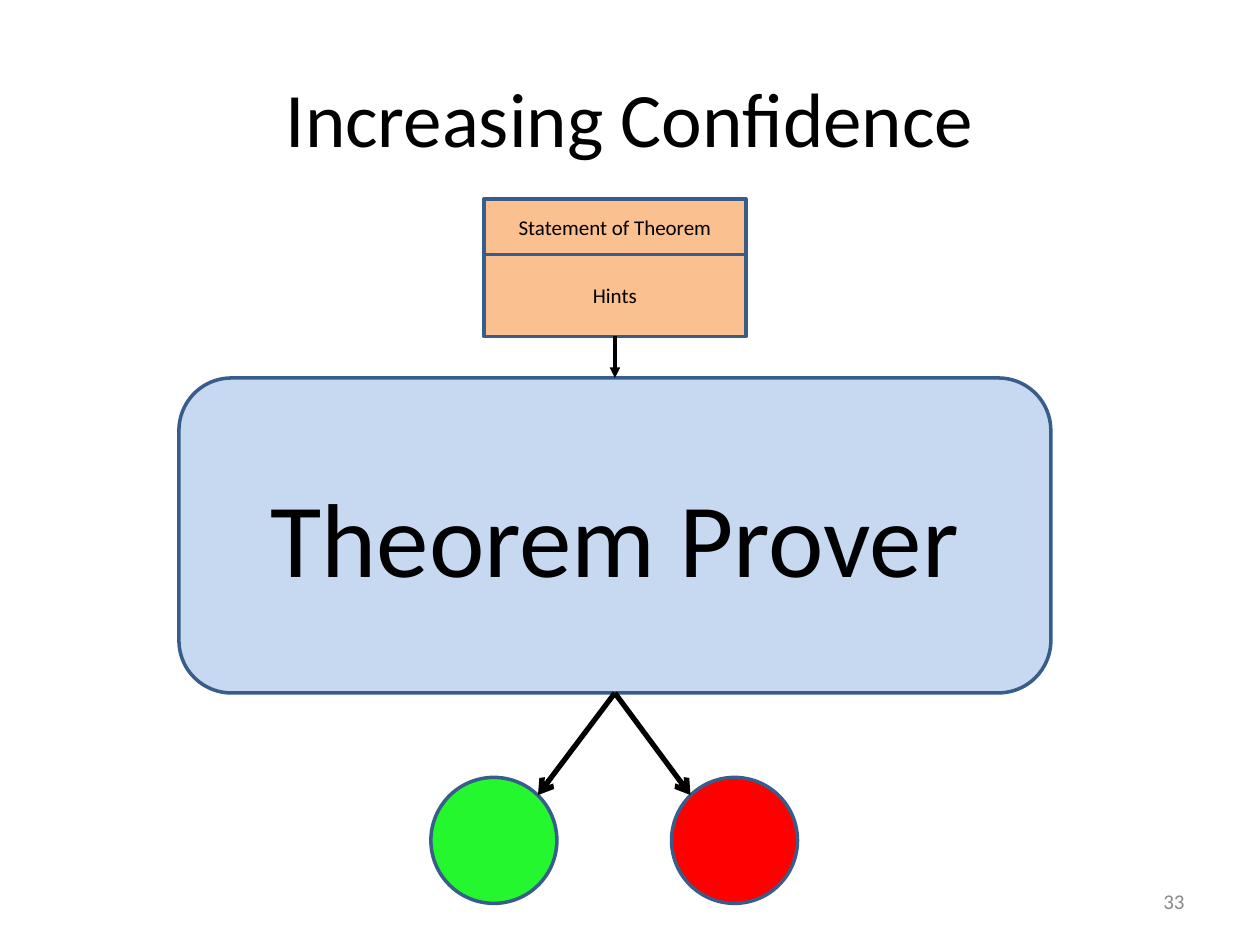
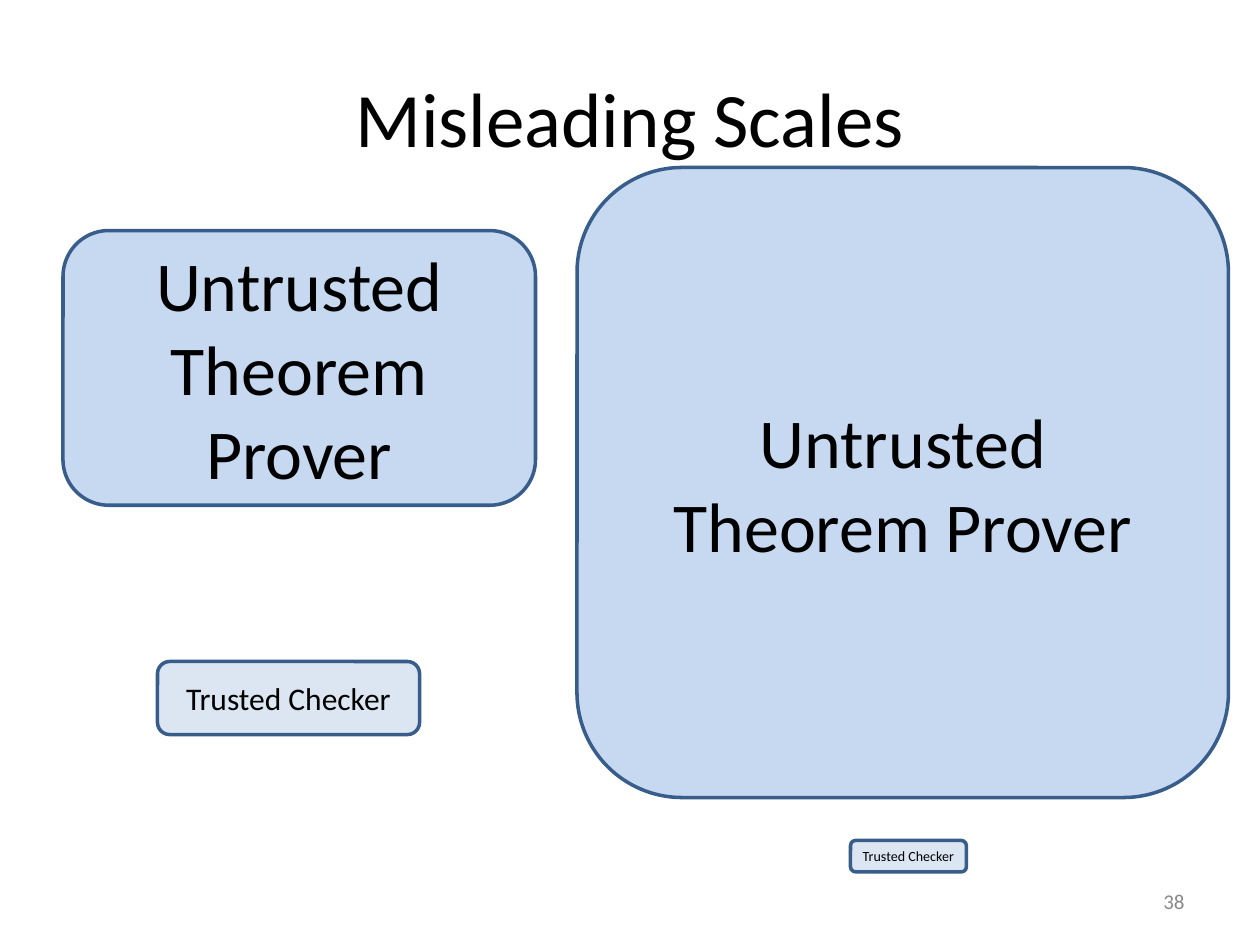
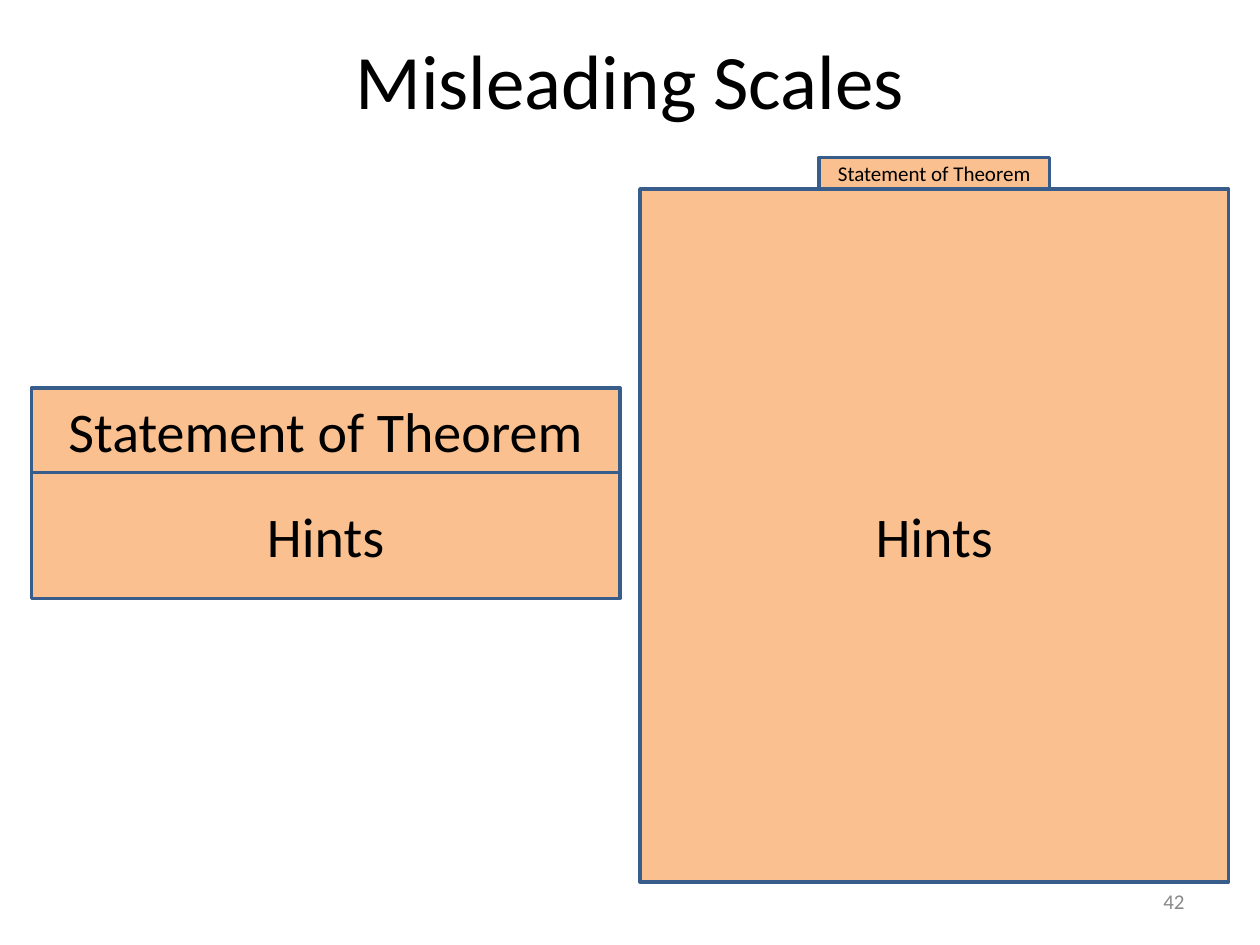
from pptx import Presentation
from pptx.dml.color import RGBColor
from pptx.enum.shapes import MSO_CONNECTOR, MSO_SHAPE
from pptx.enum.text import MSO_ANCHOR, PP_ALIGN
from pptx.oxml.ns import qn
from pptx.util import Inches, Pt
from lxml.etree import SubElement

FONT = "Calibri"
BLACK = RGBColor(0x00, 0x00, 0x00)
GREY = RGBColor(0x89, 0x89, 0x89)
OUTLINE = RGBColor(0x38, 0x5D, 0x8A)
PROVER_BLUE = RGBColor(0xC6, 0xD9, 0xF1)
CHECKER_BLUE = RGBColor(0xDC, 0xE6, 0xF2)
ORANGE = RGBColor(0xFA, 0xC0, 0x90)
GREEN = RGBColor(0x25, 0xF7, 0x2F)
RED = RGBColor(0xFF, 0x00, 0x00)

STATEMENT = "Statement of Theorem"
HINTS = "Hints"
UNTRUSTED_PROVER = ("Untrusted", "Theorem Prover")
TRUSTED_CHECKER = "Trusted Checker"


def write(tf, lines, size, color=BLACK, align=PP_ALIGN.CENTER):
    """Fill a text frame with one paragraph per line."""
    tf.word_wrap = True
    tf.vertical_anchor = MSO_ANCHOR.MIDDLE
    for i, line in enumerate(lines):
        p = tf.add_paragraph() if i else tf.paragraphs[0]
        p.alignment = align
        r = p.add_run()
        r.text = line
        r.font.name = FONT
        r.font.size = Pt(size)
        r.font.color.rgb = color


def add_slide(prs, title, number, title_top=0.3):
    s = prs.slides.add_slide(prs.slide_layouts[5])
    sp = s.shapes.title
    sp.left, sp.top = Inches(0.5), Inches(title_top)
    sp.width, sp.height = Inches(9), Inches(1.25)
    write(sp.text_frame, [title], 44)
    box = s.shapes.add_textbox(Inches(7.17), Inches(6.95), Inches(2.33), Inches(0.4))
    write(box.text_frame, [str(number)], 12, GREY, PP_ALIGN.RIGHT)
    return s


def add_outlined(shapes, kind, left, top, width, height, fill):
    sp = shapes.add_shape(kind, Inches(left), Inches(top), Inches(width), Inches(height))
    sp.shadow.inherit = False
    sp.fill.solid()
    sp.fill.fore_color.rgb = fill
    sp.line.color.rgb = OUTLINE
    sp.line.width = Pt(2)
    return sp


def add_box(shapes, text, size, left, top, width, height):
    sp = add_outlined(shapes, MSO_SHAPE.RECTANGLE, left, top, width, height, ORANGE)
    write(sp.text_frame, [text], size)
    return sp


def add_proof(shapes, size, left, top, width, statement_height, hints_height):
    """Stack a statement box on a hints box and return the hints box."""
    add_box(shapes, STATEMENT, size, left, top, width, statement_height)
    return add_box(shapes, HINTS, size, left, top + statement_height, width, hints_height)


def add_program(s, lines, size, left, top, width, height, fill):
    sp = add_outlined(s.shapes, MSO_SHAPE.ROUNDED_RECTANGLE, left, top, width, height, fill)
    write(sp.text_frame, lines, size)
    return sp


def add_arrow(s, source, x, y, width, head):
    """Draw an arrow from the bottom of source to the point x, y."""
    c = s.shapes.add_connector(MSO_CONNECTOR.STRAIGHT, 0, 0, Inches(x), Inches(y))
    c.begin_connect(source, 2)
    c.line.color.rgb = BLACK
    c.line.width = Pt(width)
    SubElement(c.line._get_or_add_ln(), qn("a:tailEnd"), type=head)
    SubElement(c._element.spPr, qn("a:effectLst"))
    return c


def build_confidence(prs):
    s = add_slide(prs, "Increasing Confidence", 33)
    prover = add_program(s, ["Theorem Prover"], 60, 1.42, 3, 6.92, 2.5, PROVER_BLUE)
    proof = s.shapes.add_group_shape()
    hints = add_proof(proof.shapes, 12, 3.84, 1.58, 2.08, 0.44, 0.65)
    add_arrow(s, hints, 4.88, 3, 2, "triangle").end_connect(prover, 0)
    for left, tip_x, fill in ((3.42, 4.27, GREEN), (5.33, 5.48, RED)):
        add_outlined(s.shapes, MSO_SHAPE.OVAL, left, 6.17, 1, 1, fill)
        add_arrow(s, prover, tip_x, 6.31, 3, "arrow")


def build_program_scales(prs):
    s = add_slide(prs, "Misleading Scales", 38)
    add_program(s, UNTRUSTED_PROVER, 40, 0.5, 1.83, 3.75, 2.18, PROVER_BLUE)
    add_program(s, [TRUSTED_CHECKER], 18, 1.25, 5.25, 2.08, 0.58, CHECKER_BLUE)
    add_program(s, UNTRUSTED_PROVER, 40, 4.58, 1.33, 5.17, 5, PROVER_BLUE)
    small_checker = add_program(s, [TRUSTED_CHECKER], 8, 6.75, 6.67, 0.92, 0.25, CHECKER_BLUE)
    # Narrow side margins keep the label on one line inside its low box.
    tf = small_checker.text_frame
    tf.margin_left = tf.margin_right = Inches(0.03)


def build_proof_scales(prs):
    s = add_slide(prs, "Misleading Scales", 42, title_top=0)
    add_proof(s.shapes, 32, 0.25, 3.08, 4.67, 0.67, 1)
    add_box(s.shapes, STATEMENT, 12, 6.5, 1.25, 1.83, 0.25)
    add_box(s.shapes, HINTS, 32, 5.08, 1.5, 4.67, 5.5)


def main():
    prs = Presentation()
    prs.slide_width, prs.slide_height = Inches(10), Inches(7.5)
    build_confidence(prs)
    build_program_scales(prs)
    build_proof_scales(prs)
    prs.save("out.pptx")


if __name__ == "__main__":
    main()
